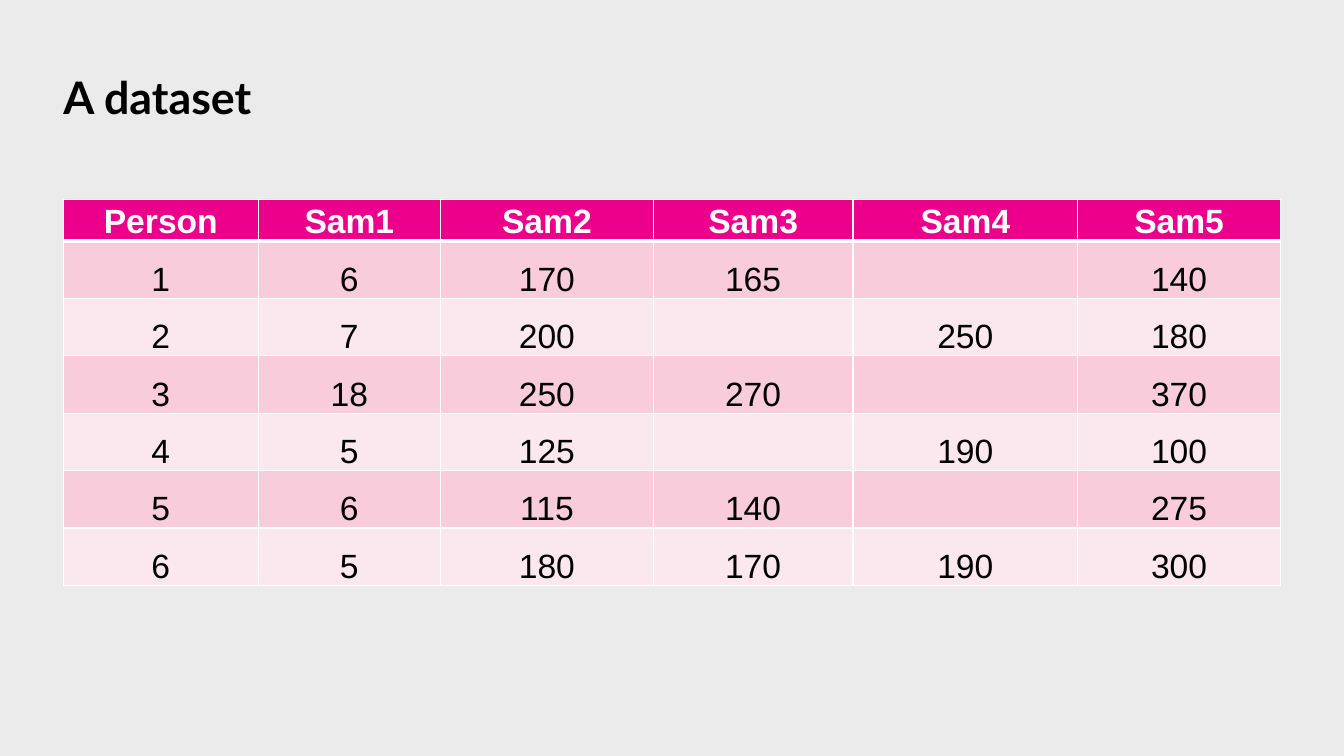
"""Build the dataset slide: a title above a table of six people and five samples."""
from lxml import etree
from pptx import Presentation
from pptx.dml.color import RGBColor
from pptx.enum import text
from pptx.oxml.ns import qn
from pptx.util import Inches, Pt

TITLE = "A dataset"
ROWS = [
    ("Person", "Sam1", "Sam2", "Sam3", "Sam4", "Sam5"),
    ("1", "6", "170", "165", "", "140"),
    ("2", "7", "200", "", "250", "180"),
    ("3", "18", "250", "270", "", "370"),
    ("4", "5", "125", "", "190", "100"),
    ("5", "6", "115", "140", "", "275"),
    ("6", "5", "180", "170", "190", "300"),
]
COLUMNS = (1.93, 1.81, 2.11, 1.98, 2.23, 2.01)
HEADER_HEIGHT, BODY_HEIGHT = 0.35, 0.57
WIDTH, HEIGHT, MARGIN = 13.33, 7.5, 0.63
TITLE_TOP, TITLE_HEIGHT, TABLE_TOP = 0.65, 0.56, 1.98

BACKGROUND = RGBColor(0xEB, 0xEB, 0xEB)
BLACK = RGBColor(0, 0, 0)
WHITE = RGBColor(0xFF, 0xFF, 0xFF)
MAGENTA = RGBColor(0xEC, 0x00, 0x8B)
BANDS = (RGBColor(0xF8, 0xCC, 0xDA), RGBColor(0xFB, 0xE7, 0xEE))


def set_insets(obj, left, top, right, bottom):
    obj.margin_left, obj.margin_top = Inches(left), Inches(top)
    obj.margin_right, obj.margin_bottom = Inches(right), Inches(bottom)


def set_font(p, name, size, color, bold):
    p.font.name, p.font.size, p.font.bold = name, Pt(size), bold
    p.font.color.rgb = color


def add_borders(cell, row):
    widths = {"L": 1, "R": 1, "T": 3 if row == 1 else 1, "B": 3 if row == 0 else 1}
    tc_pr = cell._tc.get_or_add_tcPr()
    for side, width in widths.items():
        ln = etree.SubElement(tc_pr, qn(f"a:ln{side}"), w=str(Pt(width)))
        fill = etree.SubElement(ln, qn("a:solidFill"))
        etree.SubElement(fill, qn("a:srgbClr"), val=str(WHITE))


def add_title(slide):
    width = WIDTH - 2 * MARGIN
    box = slide.shapes.add_textbox(*map(Inches, (MARGIN, TITLE_TOP, width, TITLE_HEIGHT)))
    tf = box.text_frame
    tf.word_wrap = True
    tf.vertical_anchor = text.MSO_ANCHOR.MIDDLE
    set_insets(tf, 0, 0.05, 0, 0)
    p = tf.paragraphs[0]
    p.text = TITLE
    set_font(p, "Lato", 32, BLACK, True)


def add_dataset(slide):
    heights = [HEADER_HEIGHT] + [BODY_HEIGHT] * (len(ROWS) - 1)
    area = (MARGIN, TABLE_TOP, sum(COLUMNS), sum(heights))
    table = slide.shapes.add_table(len(ROWS), len(COLUMNS), *map(Inches, area)).table
    for column, width in zip(table.columns, COLUMNS):
        column.width = Inches(width)
    for i, (values, height) in enumerate(zip(ROWS, heights)):
        header = i == 0
        table.rows[i].height = Inches(height)
        for j, value in enumerate(values):
            cell = table.cell(i, j)
            add_borders(cell, i)
            cell.fill.solid()
            cell.fill.fore_color.rgb = MAGENTA if header else BANDS[(i - 1) % 2]
            cell.vertical_anchor = text.MSO_ANCHOR.BOTTOM
            set_insets(cell, 0.01, 0.01, 0.01, 0)
            p = cell.text_frame.paragraphs[0]
            p.text = value
            p.alignment = text.PP_ALIGN.CENTER
            set_font(p, "Arial", 24, WHITE if header else BLACK, header)


def main():
    prs = Presentation()
    prs.slide_width, prs.slide_height = Inches(WIDTH), Inches(HEIGHT)
    slide = prs.slides.add_slide(prs.slide_layouts[6])
    slide.background.fill.solid()
    slide.background.fill.fore_color.rgb = BACKGROUND
    add_title(slide)
    add_dataset(slide)
    prs.save("out.pptx")


if __name__ == "__main__":
    main()
